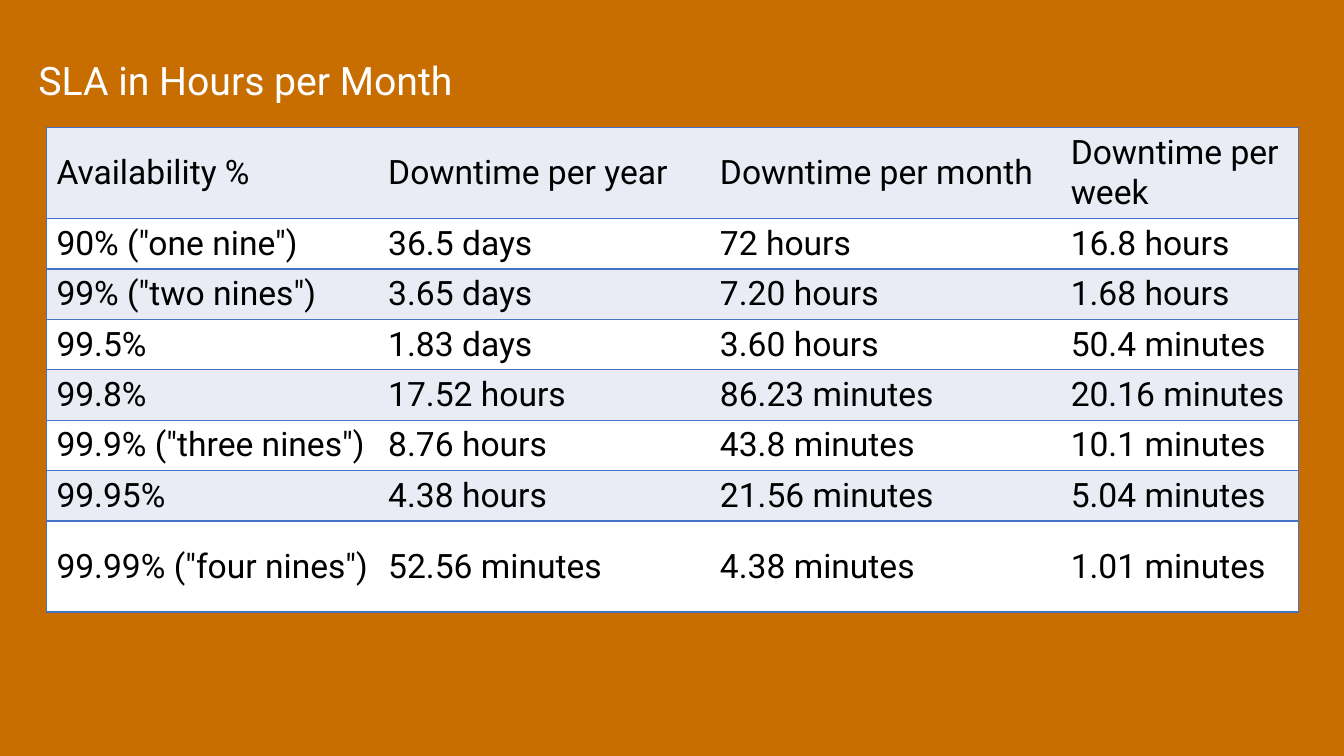
from dataclasses import dataclass

from lxml.etree import SubElement
from pptx import Presentation
from pptx.dml.color import RGBColor
from pptx.enum.text import MSO_VERTICAL_ANCHOR as Anchor
from pptx.oxml.ns import qn
from pptx.util import Cm, Pt


@dataclass(frozen=True)
class Theme:
    font: str = "Roboto"
    background: str = "C86E00"
    title: str = "FFFFFF"
    text: str = "000000"
    bands: tuple = ("E9EBF5", "FFFFFF")
    border: str = "4472C4"
    title_size: int = 28
    table_size: int = 24
    border_width: int = 1


def format_text(text_frame, size, color):
    for paragraph in text_frame.paragraphs:
        for run in paragraph.runs:
            run.font.name = theme.font
            run.font.size = Pt(size)
            run.font.color.rgb = RGBColor.from_string(color)


def add_border(cell, side):
    properties = cell._tc.get_or_add_tcPr()
    line = SubElement(properties, qn(f"a:ln{side}"), w=str(Pt(theme.border_width)))
    fill = SubElement(line, qn("a:solidFill"))
    SubElement(fill, qn("a:srgbClr"), val=theme.border)


theme = Theme()
NO_GRID_STYLE = "{2D5ABB26-0587-4C30-8999-92F81FD0307C}"
downtimes = [
    ("Availability %", "Downtime per year", "Downtime per month", "Downtime per week"),
    ('90% ("one nine")', "36.5 days", "72 hours", "16.8 hours"),
    ('99% ("two nines")', "3.65 days", "7.20 hours", "1.68 hours"),
    ("99.5%", "1.83 days", "3.60 hours", "50.4 minutes"),
    ("99.8%", "17.52 hours", "86.23 minutes", "20.16 minutes"),
    ('99.9% ("three nines")', "8.76 hours", "43.8 minutes", "10.1 minutes"),
    ("99.95%", "4.38 hours", "21.56 minutes", "5.04 minutes"),
    ('99.99% ("four nines")', "52.56 minutes", "4.38 minutes", "1.01 minutes"),
]
column_widths = [8.36, 8.36, 8.84, 5.99]
row_heights = [2.29] + [1.27] * 6 + [2.29]

presentation = Presentation()
presentation.slide_width = Cm(33.87)
presentation.slide_height = Cm(19.05)
slide = presentation.slides.add_slide(presentation.slide_layouts[6])
slide.background.fill.solid()
slide.background.fill.fore_color.rgb = RGBColor.from_string(theme.background)

table_frame = slide.shapes.add_table(
    len(downtimes), len(column_widths),
    Cm(1.17), Cm(3.22), Cm(sum(column_widths)), Cm(sum(row_heights)),
)
table = table_frame.table
table.first_row = False
table.horz_banding = False
table._tbl.tblPr.find(qn("a:tableStyleId")).text = NO_GRID_STYLE
for column, width in zip(table.columns, column_widths):
    column.width = Cm(width)

last_column = len(column_widths) - 1
for row_index, (row, height) in enumerate(zip(table.rows, row_heights)):
    row.height = Cm(height)
    for column_index, cell in enumerate(row.cells):
        cell.text_frame.text = downtimes[row_index][column_index]
        cell.vertical_anchor = Anchor.MIDDLE
        format_text(cell.text_frame, theme.table_size, theme.text)
        if column_index == 0:
            add_border(cell, "L")
        if column_index == last_column:
            add_border(cell, "R")
        for side in "TB":
            add_border(cell, side)
        cell.fill.solid()
        cell.fill.fore_color.rgb = RGBColor.from_string(theme.bands[row_index % 2])

title = slide.shapes.add_textbox(Cm(0), Cm(0.79), Cm(32.36), Cm(2.59))
title.text_frame.word_wrap = True
title.text_frame.vertical_anchor = Anchor.MIDDLE
title.text_frame.margin_left = Cm(0.97)
title.text_frame.text = "SLA in Hours per Month"
title.text_frame.paragraphs[0].line_spacing = 0.9
format_text(title.text_frame, theme.title_size, theme.title)

presentation.save("out.pptx")
